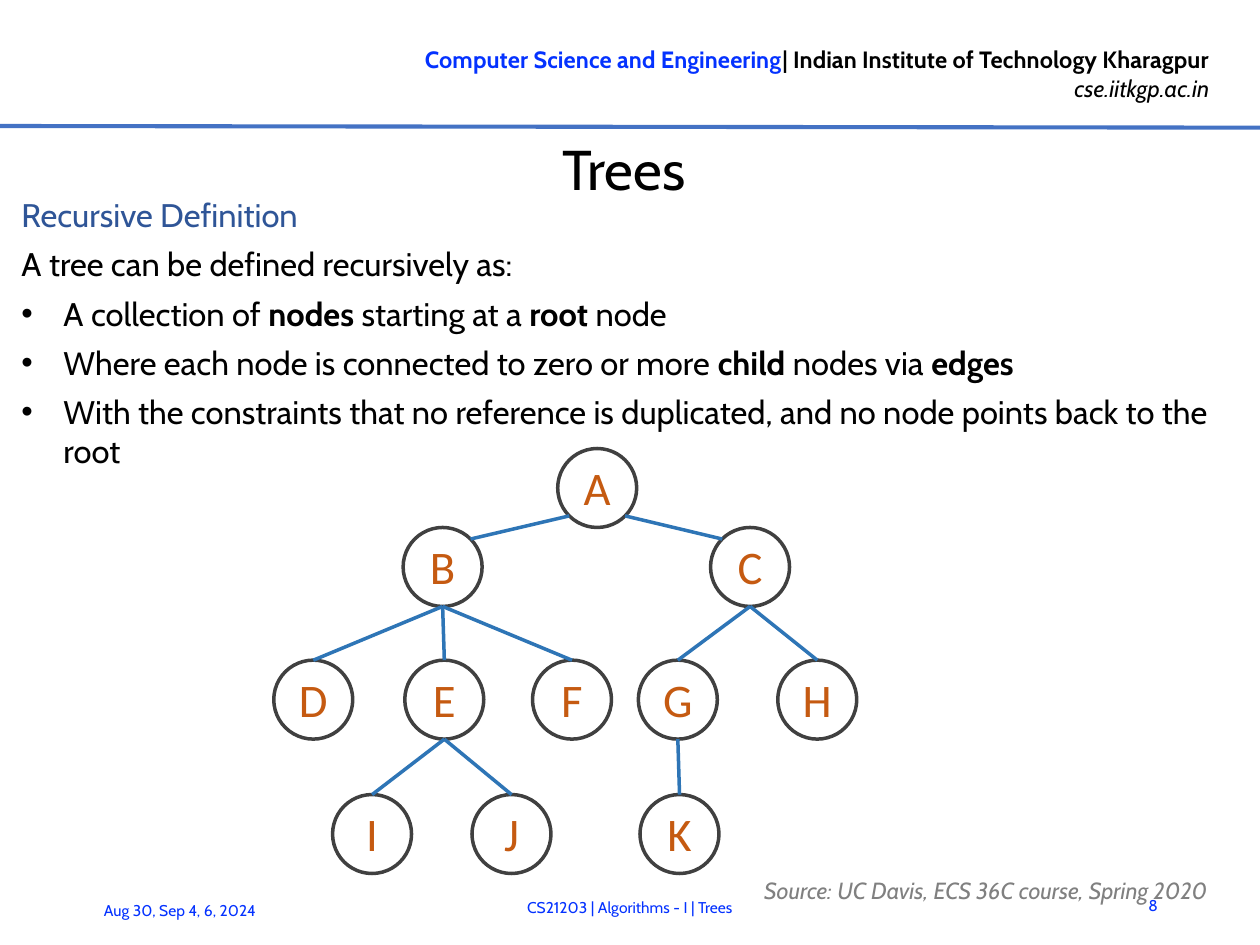
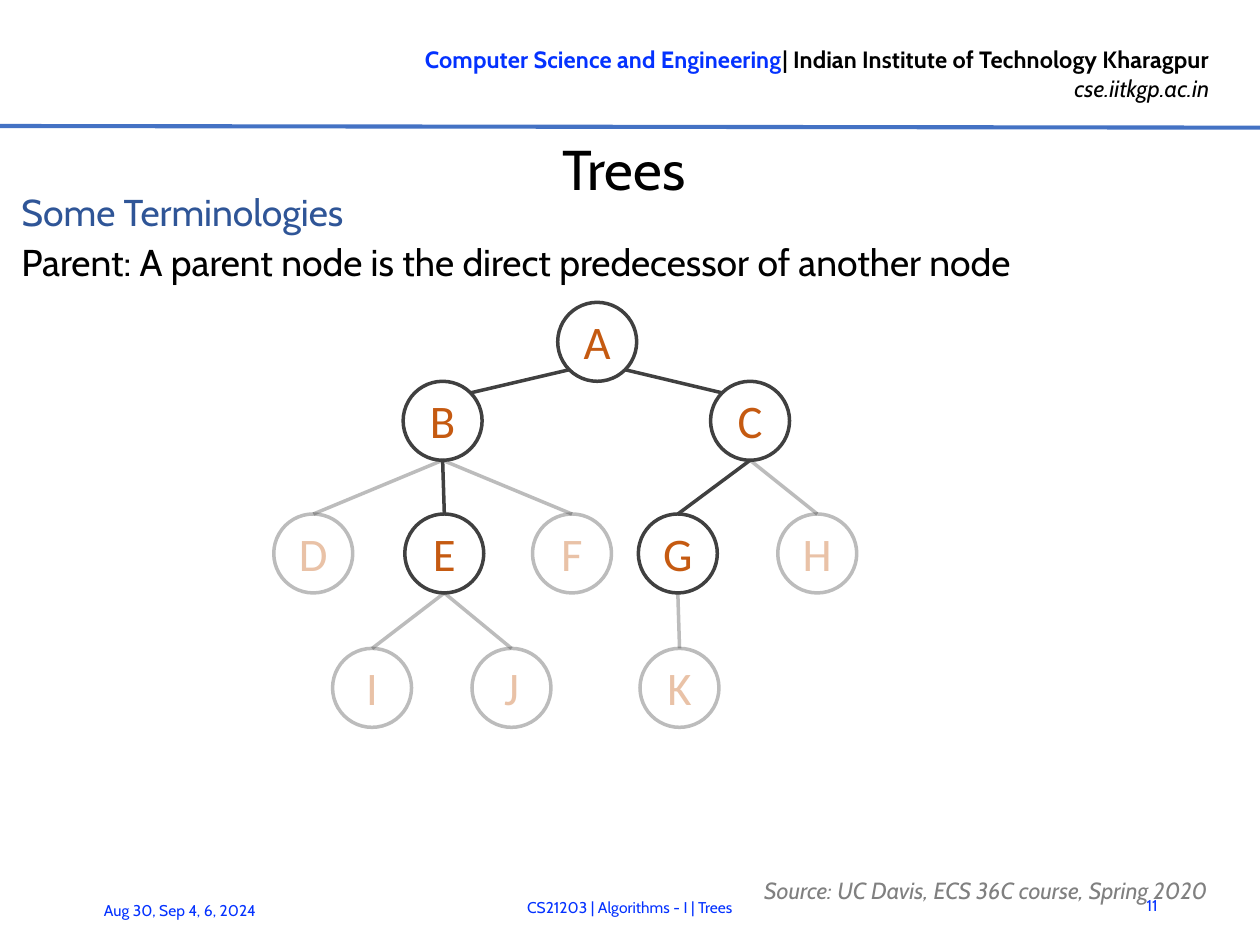
"""Build two lecture slides on trees, each with a header, footers and a tree diagram."""
import math

import pptx
import pptx.dml.color
import pptx.enum.shapes
import pptx.enum.text
import pptx.oxml.ns
import pptx.util

Inches, Pt = pptx.util.Inches, pptx.util.Pt
ALIGN, ANCHOR = pptx.enum.text.PP_ALIGN, pptx.enum.text.MSO_ANCHOR
qn = pptx.oxml.ns.qn

COLORS = {"blue": "0432FF", "rule": "4472C4", "head": "2F5597", "black": "000000",
          "gray": "808080", "ring": "404040", "letter": "C55A11", "edge": "2E75B6"}
FONT = "Cabin"
TITLE = "Trees"
HEADER = [
    [("Computer Science and Engineering", "blue", "b"),
     ("| Indian Institute of Technology Kharagpur", "black", "b")],
    [("cse.iitkgp.ac.in", "black", "i")],
]
FOOTERS = [
    ("Aug 30, Sep 4, 6, 2024", (0.52, 5.27, 1.31, 0.3), ALIGN.LEFT),
    ("CS21203 | Algorithms - I | Trees", (1.24, 5.25, 5.02, 0.3), ALIGN.CENTER),
]
NUMBER = (6.62, 5.24, 0.37, 0.3)
SOURCE = "Source: UC Davis, ECS 36C course, Spring 2020"

SIZE = 0.47
ROWS = [
    (0, {"A": 3.32}),
    (0.47, {"B": 2.4, "C": 4.23}),
    (1.26, {"D": 1.63, "E": 2.41, "F": 3.17, "G": 3.8, "H": 4.63}),
    (2.06, {"I": 1.98, "J": 2.81, "K": 3.81}),
]
KIDS = {"A": "BC", "B": "DEF", "C": "GH", "E": "IJ", "G": "K"}

SLIDES = [
    {"number": "8", "size": 14, "height": 1.48, "top": 2.67, "edge": "edge", "faint": "",
     "head": "Recursive Definition",
     "lead": "A tree can be defined recursively as:",
     "bullets": [
         [("A collection of ", ""), ("nodes", "b"), (" starting at a ", ""),
          ("root", "b"), (" node", "")],
         [("Where each node is connected to zero or more ", ""), ("child", "b"),
          (" nodes via ", ""), ("edges", "b")],
         [("With the constraints that no reference is duplicated, "
           "and no node points back to the root", "")],
     ]},
    {"number": "11", "size": 16, "height": 0.61, "top": 1.8, "edge": "ring",
     "faint": "DFHIJK",
     "head": "Some Terminologies",
     "lead": "Parent: A parent node is the direct predecessor of another node",
     "bullets": []},
]


def paint(name):
    return pptx.dml.color.RGBColor.from_string(COLORS[name])


def fade(node, share):
    for color in node.iter(qn("a:srgbClr")):
        color.append(color.makeelement(qn("a:alpha"), {"val": str(share * 1000)}))


def add_run(para, text, size, color, style="", font=FONT):
    run = para.add_run()
    run.text = text
    run.font.name, run.font.size = font, Pt(size)
    run.font.bold, run.font.italic = "b" in style, "i" in style
    run.font.color.rgb = paint(color)
    return run


def add_box(slide, place, paras, size, align=ALIGN.LEFT, anchor=ANCHOR.TOP,
            line=None, gap=0):
    frame = slide.shapes.add_textbox(*map(Inches, place)).text_frame
    frame.word_wrap, frame.vertical_anchor = True, anchor
    for i, runs in enumerate(paras):
        para = frame.add_paragraph() if i else frame.paragraphs[0]
        para.alignment = align
        if line:
            para.line_spacing = Pt(line)
            para.space_before, para.space_after = Pt(gap if i else 0), Pt(gap)
        for text, color, style in runs:
            add_run(para, text, size, color, style)
    return frame


def add_line(slide, start, end, color, width):
    line = slide.shapes.add_connector(
        pptx.enum.shapes.MSO_CONNECTOR.STRAIGHT, *map(Inches, start + end))
    line.line.color.rgb, line.line.width = paint(color), Pt(width)
    props = line._element.spPr
    props.append(props.makeelement(qn("a:effectLst"), {}))
    return line


def add_bullet(para):
    props = para._p.get_or_add_pPr()
    props.set("marL", str(Inches(0.25)))
    props.set("indent", str(-Inches(0.25)))
    for tag, key, value in (("a:buFont", "typeface", "Arial"), ("a:buChar", "char", "•")):
        props.append(props.makeelement(qn(tag), {key: value}))


def add_frame(slide, number):
    add_box(slide, (1.91, 0.22, 5.39, 0.44), HEADER, 10.13, ALIGN.RIGHT)
    add_line(slide, (0, 0.75), (7.5, 0.76), "rule", 1.75)
    title = slide.shapes.title
    title.left, title.top, title.width, title.height = map(Inches, (0.24, 0.79, 6.94, 0.41))
    frame = title.text_frame
    frame.margin_right = frame.margin_bottom = 0
    frame.margin_left = frame.margin_top = Inches(0.01)
    frame.auto_size = pptx.enum.text.MSO_AUTO_SIZE.NONE
    frame.vertical_anchor = ANCHOR.MIDDLE
    para = frame.paragraphs[0]
    para.alignment, para.space_before = ALIGN.CENTER, Pt(0)
    add_run(para, TITLE, 24, "black")
    for text, place, align in FOOTERS + [(number, NUMBER, ALIGN.RIGHT)]:
        add_box(slide, place, [[(text, "blue", "")]], 6.75, align, ANCHOR.MIDDLE)
    add_box(slide, (4.45, 5.17, 3.02, 0.17), [[(SOURCE, "gray", "i")]], 10,
            anchor=ANCHOR.MIDDLE, line=18, gap=3)


def add_body(slide, data):
    paras = [[(data["head"], "head", "")], [(data["lead"], "black", "")]]
    paras += [[(text, "black", style) for text, style in runs] for runs in data["bullets"]]
    frame = add_box(slide, (0.03, 1.11, 7.37, data["height"]), paras, data["size"],
                    line=17, gap=2)
    for para in frame.paragraphs[2:]:
        add_bullet(para)


def add_node(slide, name, left, top, faint):
    node = slide.shapes.add_shape(pptx.enum.shapes.MSO_SHAPE.OVAL,
                                  *map(Inches, (left, top, SIZE, SIZE)))
    node.shadow.inherit = False
    node.fill.background()
    node.line.color.rgb, node.line.width = paint("ring"), Pt(1.5)
    frame = node.text_frame
    frame.margin_left = frame.margin_right = frame.margin_top = 0
    frame.margin_bottom = Inches(0.01)
    frame.word_wrap, frame.vertical_anchor = False, ANCHOR.MIDDLE
    para = frame.paragraphs[0]
    para.alignment = ALIGN.CENTER
    run = add_run(para, name, 20, "letter", font="Calibri")
    if faint:
        fade(node._element.spPr, 34)
        fade(run._r, 36)
    return node


def add_tree(slide, data):
    half = SIZE / 2
    slant = half * math.sqrt(0.5)
    spots, nodes = {}, {}
    for drop, row in ROWS:
        for name, left in row.items():
            top = data["top"] + drop
            spots[name] = left + half, top + half
            nodes[name] = add_node(slide, name, left, top, name in data["faint"])
    for name, kids in KIDS.items():
        x, y = spots[name]
        for kid in kids:
            kx, ky = spots[kid]
            if name == "A":
                dx = math.copysign(slant, kx - x)
                edge = add_line(slide, (x + dx, y + slant), (kx - dx, ky - slant),
                                data["edge"], 1.5)
            else:
                edge = add_line(slide, (x, y + half), (kx, ky - half), data["edge"], 1.5)
                edge.end_connect(nodes[kid], 0)
            if kid in data["faint"]:
                fade(edge._element.spPr, 34)


def main():
    deck = pptx.Presentation()
    deck.slide_width = Inches(7.5)
    deck.slide_height = deck.slide_width * 3 // 4
    for data in SLIDES:
        slide = deck.slides.add_slide(deck.slide_layouts[5])
        add_frame(slide, data["number"])
        add_body(slide, data)
        add_tree(slide, data)
    deck.save("out.pptx")


if __name__ == "__main__":
    main()
